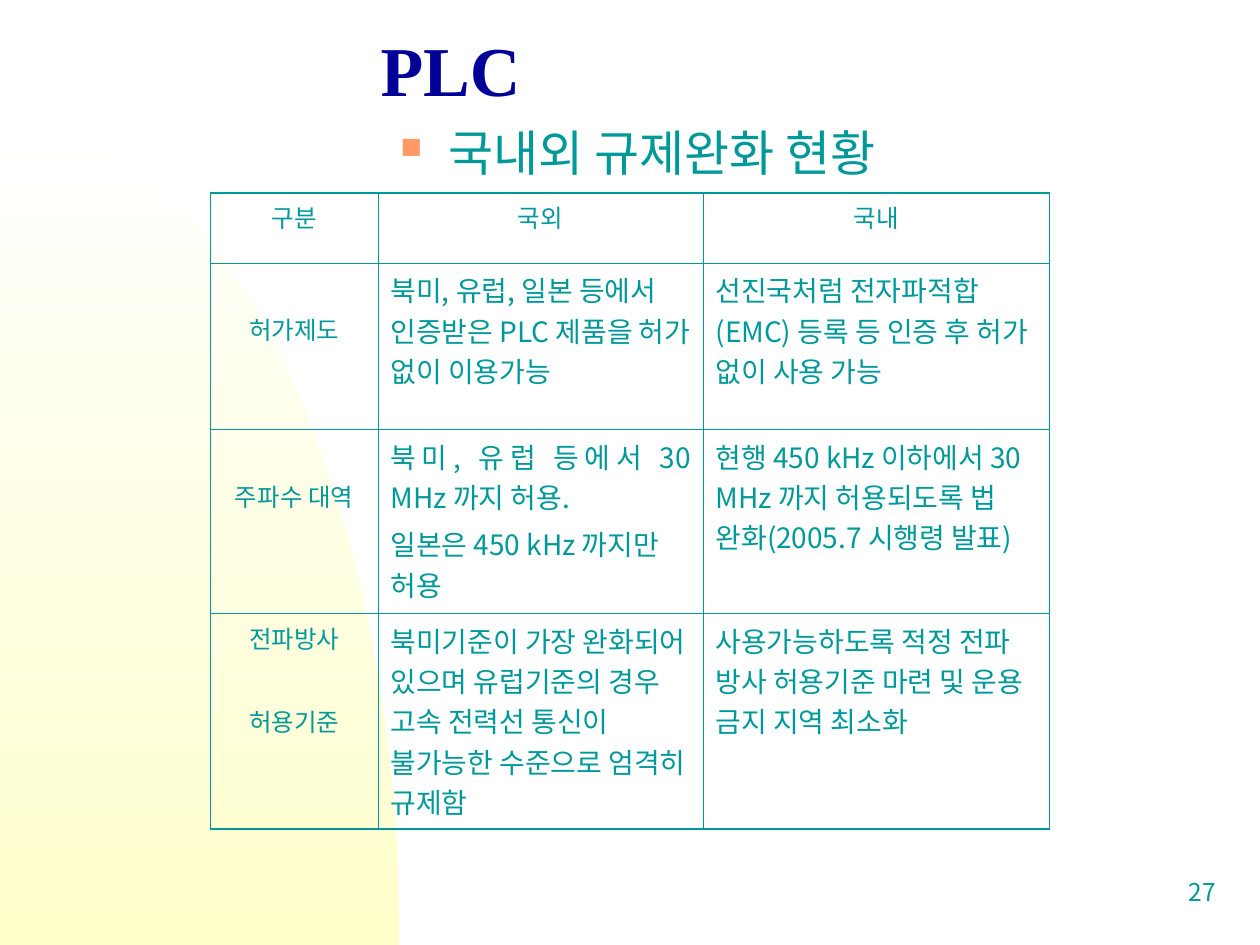
from lxml.etree import SubElement
from pptx import Presentation
from pptx.dml.color import RGBColor
from pptx.enum.text import MSO_ANCHOR, PP_ALIGN
from pptx.oxml.ns import qn
from pptx.util import Inches, Pt

COLORS = {"title": "000099", "text": "009999", "bullet": "FF9966",
          "white": "FFFFFF", "cream": "FFFFCC"}
KOREAN_FONT = "Noto Sans CJK KR"
TITLE_FONT = "Times New Roman"
COLUMN_WIDTHS = [1.33, 2.58, 2.75]
ROW_HEIGHTS = [0.56, 1.32, 1.46, 1.71]
ROWS = [
    ["구분", "국외", "국내"],
    ["허가제도",
     "북미, 유럽, 일본 등에서 인증받은 PLC 제품을 허가 없이 이용가능",
     "선진국처럼 전자파적합(EMC) 등록 등 인증 후 허가 없이 사용 가능"],
    ["주파수 대역",
     "북미, 유럽 등에서 30 MHz 까지 허용.\n일본은 450 kHz 까지만 허용",
     "현행 450 kHz 이하에서 30 MHz 까지 허용되도록 법 완화(2005.7 시행령 발표)"],
    ["전파방사\n허용기준",
     "북미기준이 가장 완화되어 있으며 유럽기준의 경우 고속 전력선 통신이 불가능한 수준으로 엄격히 규제함",
     "사용가능하도록 적정 전파 방사 허용기준 마련 및 운용 금지 지역 최소화"],
]
LOWERED_LABEL_ROWS = (1, 2)


def rgb(name):
    """Return the named palette colour."""
    return RGBColor.from_string(COLORS[name])


def format_runs(paragraph, size, font=KOREAN_FONT, color="text", bold=False):
    """Apply one character format to every run of a paragraph."""
    for run in paragraph.runs:
        run.font.size = Pt(size)
        run.font.bold = bold
        run.font.name = font
        run.font.color.rgb = rgb(color)
        SubElement(run.font._element, qn("a:ea"), typeface=font)


def add_text(slide, text, size, left, top, width, height):
    """Add a wrapped one-paragraph text box and return it."""
    shape = slide.shapes.add_textbox(Inches(left), Inches(top), Inches(width), Inches(height))
    shape.text_frame.word_wrap = True
    shape.text_frame.text = text
    format_runs(shape.text_frame.paragraphs[0], size)
    return shape


def add_bullet(paragraph):
    """Give a paragraph a small square bullet with a hanging indent."""
    properties = paragraph._p.get_or_add_pPr()
    properties.set("marL", str(Inches(0.38)))
    properties.set("indent", str(Inches(-0.38)))
    color = SubElement(properties, qn("a:buClr"))
    SubElement(color, qn("a:srgbClr"), val=COLORS["bullet"])
    SubElement(properties, qn("a:buSzPct"), val="60000")
    SubElement(properties, qn("a:buChar"), char="■")


def add_corner_curve(slide, width=3.17, top=0.92, bottom=7.5, steps=60):
    """Draw the gradient quarter curve in the lower left corner, behind the rest."""
    controls = [(0, top), (1.75, top), (width, 3.87), (width, bottom)]
    points = []
    for step in range(steps + 1):
        t = step / steps
        weights = [(1 - t) ** 3, 3 * t * (1 - t) ** 2, 3 * t ** 2 * (1 - t), t ** 3]
        points.append(tuple(Inches(sum(weight * point[axis] for weight, point in zip(weights, controls)))
                            for axis in (0, 1)))
    builder = slide.shapes.build_freeform(*points[0])
    builder.add_line_segments(points[1:] + [(0, Inches(bottom))], close=True)
    shape = builder.convert_to_shape()
    shape.shadow.inherit = False
    shape.line.fill.background()
    shape.fill.gradient()
    shape.fill.gradient_angle = 270
    for stop, color in zip(shape.fill.gradient_stops, ("white", "cream")):
        stop.color.rgb = rgb(color)
    for position, stop in enumerate(shape.fill.gradient_stops):
        stop.position = position
    shape.element.getparent().insert(2, shape.element)


def set_title(slide, text):
    """Place and format the title placeholder."""
    title = slide.shapes.title
    title.left, title.top = Inches(2.92), Inches(0)
    title.width, title.height = Inches(6.67), Inches(1.25)
    title.text_frame.text = text
    title.text_frame.vertical_anchor = MSO_ANCHOR.MIDDLE
    paragraph = title.text_frame.paragraphs[0]
    paragraph.alignment = PP_ALIGN.LEFT
    paragraph.line_spacing = 0.7
    format_runs(paragraph, 40, TITLE_FONT, "title", True)


def set_borders(cell, outer_sides):
    """Draw the four cell borders, heavier on the outer sides of the table."""
    properties = cell._tc.get_or_add_tcPr()
    for index, side in enumerate(("L", "R", "T", "B")):
        width = Pt(1.08 if side in outer_sides else 0.45)
        line = properties.makeelement(qn("a:ln" + side), {"w": str(width)})
        fill = SubElement(line, qn("a:solidFill"))
        SubElement(fill, qn("a:srgbClr"), val=COLORS["text"])
        properties.insert(index, line)


def fill_cell(cell, text, is_label):
    """Write and format the text of one cell."""
    cell.fill.background()
    cell.text_frame.text = text
    for index, paragraph in enumerate(cell.text_frame.paragraphs):
        paragraph.alignment = PP_ALIGN.CENTER if is_label else PP_ALIGN.LEFT
        if index:
            paragraph.space_before = Pt(27.3 if is_label else 4)
        format_runs(paragraph, 14 if is_label else 16)


def add_regulation_table(slide):
    """Add the table comparing regulation abroad and at home."""
    frame = slide.shapes.add_table(len(ROWS), len(COLUMN_WIDTHS), Inches(1.67), Inches(1.53),
                                   Inches(sum(COLUMN_WIDTHS)), Inches(sum(ROW_HEIGHTS)))
    table = frame.table
    table.first_row = table.horz_banding = False
    for column, width in zip(table.columns, COLUMN_WIDTHS):
        column.width = Inches(width)
    for row_index, texts in enumerate(ROWS):
        table.rows[row_index].height = Inches(ROW_HEIGHTS[row_index])
        for column_index, text in enumerate(texts):
            cell = table.cell(row_index, column_index)
            fill_cell(cell, text, row_index == 0 or column_index == 0)
            edges = {"L": column_index == 0, "R": column_index == len(texts) - 1,
                     "T": row_index == 0, "B": row_index == len(ROWS) - 1}
            set_borders(cell, [side for side, is_outer in edges.items() if is_outer])
    for row_index in LOWERED_LABEL_ROWS:
        table.cell(row_index, 0).margin_top = Inches(0.38)
    table.cell(2, 1).text_frame.paragraphs[0].alignment = PP_ALIGN.JUSTIFY


def main():
    """Build and save the slide."""
    presentation = Presentation()
    presentation.slide_width, presentation.slide_height = Inches(10), Inches(7.5)
    slide = presentation.slides.add_slide(presentation.slide_layouts[5])
    add_corner_curve(slide)
    number = add_text(slide, "27", 14, 7.67, 6.83, 2.08, 0.5)
    number.text_frame.vertical_anchor = MSO_ANCHOR.MIDDLE
    number.text_frame.paragraphs[0].alignment = PP_ALIGN.RIGHT
    set_title(slide, "PLC")
    subtitle = add_text(slide, "국내외 규제완화 현황", 28, 3.08, 0.92, 6.67, 5.75)
    add_bullet(subtitle.text_frame.paragraphs[0])
    add_regulation_table(slide)
    presentation.save("out.pptx")


if __name__ == "__main__":
    main()
